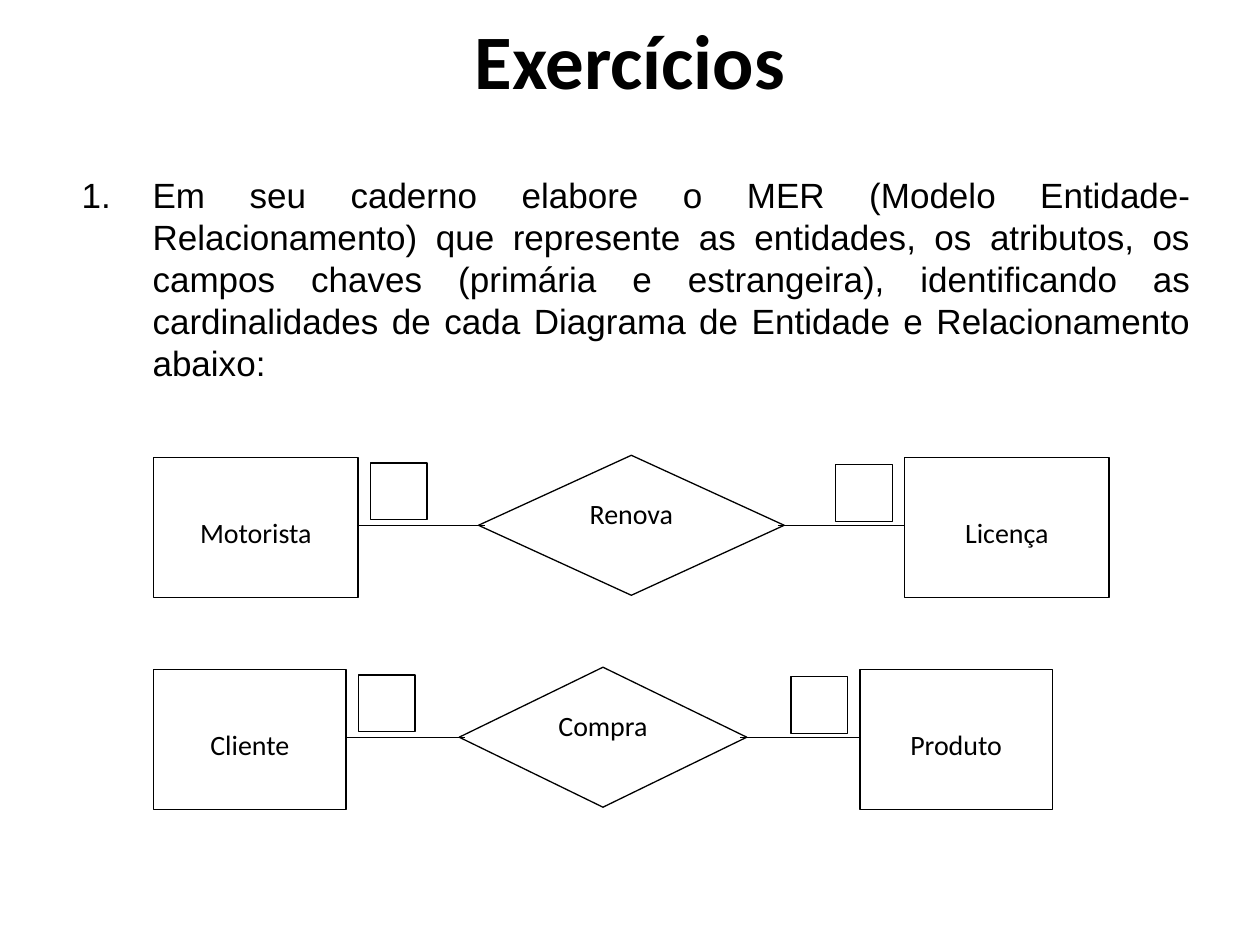
from lxml.etree import SubElement
from pptx import Presentation
from pptx.dml.color import RGBColor
from pptx.enum.shapes import MSO_CONNECTOR, MSO_SHAPE
from pptx.enum.text import MSO_ANCHOR, PP_ALIGN
from pptx.oxml.ns import qn
from pptx.util import Pt

COLORS = {"ink": "000000", "paper": "FFFFFF"}
QUESTION = (
    "Em seu caderno elabore o MER (Modelo Entidade-Relacionamento) que represente "
    "as entidades, os atributos, os campos chaves (primária e estrangeira), "
    "identificando as cardinalidades de cada Diagrama de Entidade e Relacionamento abaixo:"
)


def color(name):
    """Return the named colour."""
    return RGBColor.from_string(COLORS[name])


def write(shape, text, font, size, align, bold=False):
    """Put one formatted paragraph in a shape and return it."""
    frame = shape.text_frame
    frame.text = text
    frame.word_wrap = True
    para = frame.paragraphs[0]
    para.alignment = align
    for span in para.runs:
        span.font.name = font
        span.font.size = Pt(size)
        span.font.bold = bold
        span.font.color.rgb = color("ink")
    return para


def add_title(page, box, text):
    """Place and format the title placeholder."""
    title = page.shapes.title
    title.left, title.top, title.width, title.height = map(Pt, box)
    write(title, text, "Calibri", 44, PP_ALIGN.CENTER, True)
    title.text_frame.vertical_anchor = MSO_ANCHOR.MIDDLE


def add_question(page, box, text):
    """Add the numbered, justified question."""
    body = page.shapes.add_textbox(*map(Pt, box))
    para = write(body, text, "Arial", 20, PP_ALIGN.JUSTIFY)
    para.line_spacing = Pt(24)
    properties = para._p.get_or_add_pPr()
    properties.set("marL", str(Pt(40.5)))
    properties.set("indent", str(Pt(-40.5)))
    SubElement(properties, qn("a:buFont"), typeface="Arial")
    SubElement(properties, qn("a:buAutoNum"), type="arabicPeriod")


def add_outline(page, kind, box, text="", inset=3.6):
    """Add a white shape with a thin outline and optional text."""
    shape = page.shapes.add_shape(kind, *map(Pt, box))
    shape.shadow.inherit = False
    shape.fill.solid()
    shape.fill.fore_color.rgb = color("paper")
    shape.line.color.rgb = color("ink")
    shape.line.width = Pt(0.75)
    if text:
        write(shape, text, "Calibri", 16, PP_ALIGN.CENTER)
        shape.text_frame.vertical_anchor = MSO_ANCHOR.TOP
        shape.text_frame.margin_top = Pt(inset)


def add_link(page, start, end, y):
    """Add a thin horizontal line."""
    link = page.shapes.add_connector(
        MSO_CONNECTOR.STRAIGHT, Pt(start), Pt(y), Pt(end), Pt(y)
    )
    link.line.color.rgb = color("ink")
    link.line.width = Pt(0.75)
    SubElement(link._element.spPr, qn("a:effectLst"))


def add_relationship(page, box, first, verb, second):
    """Draw two entities joined by a relationship, with cardinality boxes."""
    left, top, width, height = box
    entity, diamond, reach = width * 0.214, width * 0.32, width * 0.133
    square, gap = 32.4, 7
    inner_left, inner_right = left + entity, left + width - entity
    for x, name in ((left, first), (inner_right, second)):
        add_outline(page, MSO_SHAPE.RECTANGLE, (x, top, entity, height), name, 33)
    diamond_box = (left + (width - diamond) / 2, top - 1.2, diamond, height)
    add_outline(page, MSO_SHAPE.DIAMOND, diamond_box, verb)
    for start, end in (
        (inner_left, inner_left + reach),
        (inner_right - reach, inner_right),
    ):
        add_link(page, start, end, top + height / 2 - 1.2)
    for x, drop in ((inner_left + gap, 3.2), (inner_right - gap - square, 4.2)):
        add_outline(page, MSO_SHAPE.RECTANGLE, (x, top + drop, square, square))


def main():
    """Build and save the exercise slide."""
    deck = Presentation()
    deck.slide_width, deck.slide_height = Pt(720), Pt(540)
    page = deck.slides.add_slide(deck.slide_layouts[5])
    add_title(page, (36, 0, 648, 67.5), "Exercícios")
    add_question(page, (39.6, 95.8, 648, 366.5), QUESTION)
    add_relationship(page, (87.8, 261.4, 546, 80), "Motorista", "Renova", "Licença")
    add_relationship(page, (87.8, 382.5, 513.5, 80), "Cliente", "Compra", "Produto")
    deck.save("out.pptx")


if __name__ == "__main__":
    main()
